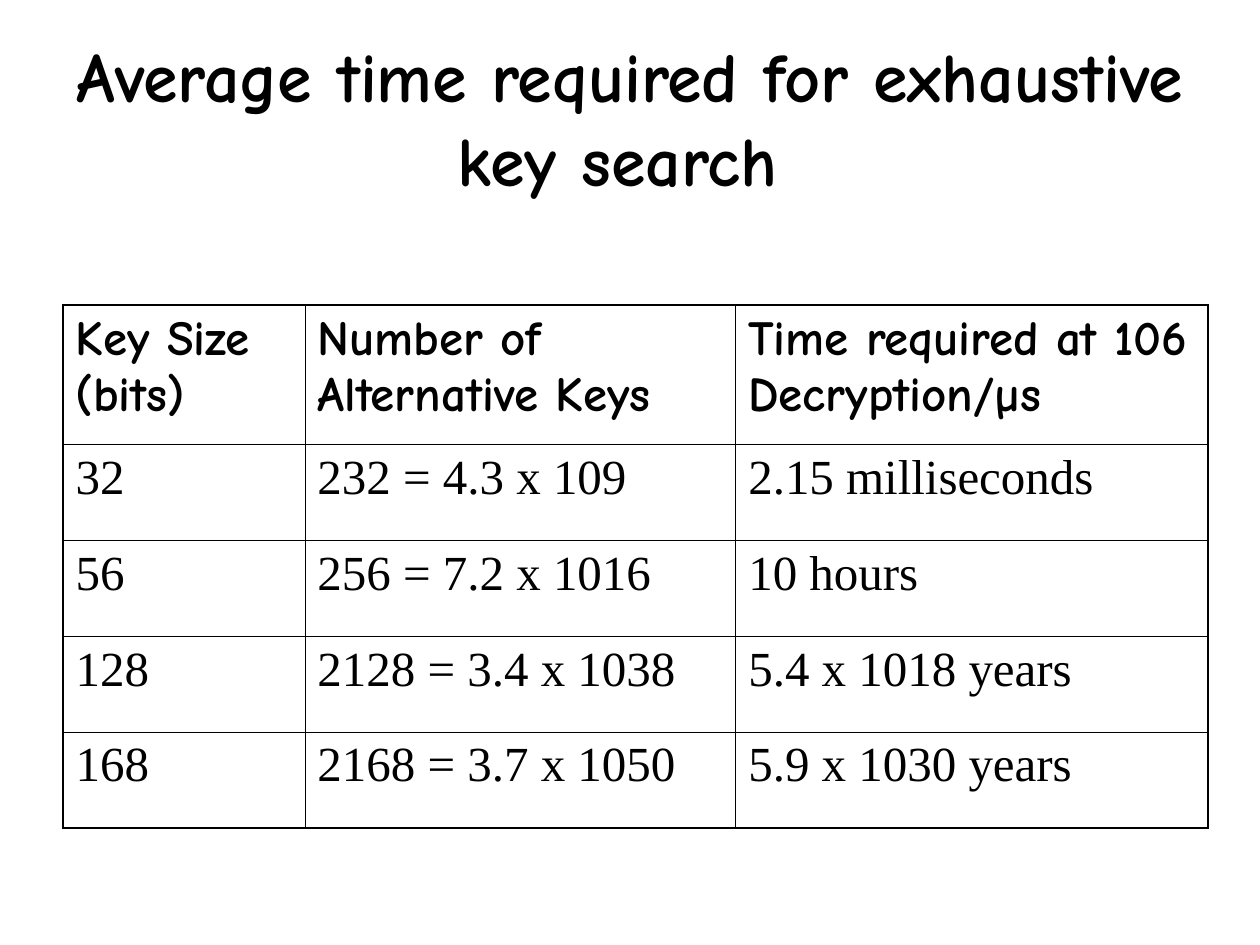
from typing import NamedTuple

from lxml.etree import SubElement
from pptx import Presentation
from pptx.dml.color import RGBColor
from pptx.enum.text import MSO_ANCHOR, PP_ALIGN
from pptx.oxml.ns import qn
from pptx.util import Inches, Pt

BLACK = RGBColor(0, 0, 0)
HEADING_FONT = "Comic Neue"
BODY_FONT = "Times New Roman"
OUTER_LINE = Pt(1.08)
INNER_LINE = Pt(0.45)
COLUMN_WIDTHS = (1.92, 3.42, 3.75)
HEADER_HEIGHT = 1.11
ROW_HEIGHT = 0.76


class KeySearch(NamedTuple):
    key_size: str
    alternatives: str
    time: str


HEADER = KeySearch(
    "Key Size (bits)",
    "Number of Alternative Keys",
    "Time required at 106 Decryption/µs",
)
SEARCHES = (
    KeySearch("32", "232 = 4.3 x 109", "2.15 milliseconds"),
    KeySearch("56", "256 = 7.2 x 1016", "10 hours"),
    KeySearch("128", "2128 = 3.4 x 1038", "5.4 x 1018 years"),
    KeySearch("168", "2168 = 3.7 x 1050", "5.9 x 1030 years"),
)


def add_run(paragraph, text: str, size: int, heading: bool) -> None:
    run = paragraph.add_run()
    run.text = text
    run.font.name = HEADING_FONT if heading else BODY_FONT
    run.font.size = Pt(size)
    run.font.bold = heading
    run.font.color.rgb = BLACK


def add_title(slide, text: str) -> None:
    shape = slide.shapes.add_textbox(Inches(0.5), Inches(0.3), Inches(9), Inches(1.25))
    frame = shape.text_frame
    frame.word_wrap = True
    frame.vertical_anchor = MSO_ANCHOR.MIDDLE
    paragraph = frame.paragraphs[0]
    paragraph.alignment = PP_ALIGN.CENTER
    add_run(paragraph, text, 40, True)


def set_border(cell, side: str, outer: bool) -> None:
    properties = cell._tc.get_or_add_tcPr()
    width = OUTER_LINE if outer else INNER_LINE
    line = SubElement(properties, qn(f"a:{side}"), w=str(int(width)))
    fill = SubElement(line, qn("a:solidFill"))
    SubElement(fill, qn("a:srgbClr"), val=str(BLACK))


def add_search_table(slide, rows: tuple[KeySearch, ...]) -> None:
    heights = [HEADER_HEIGHT] + [ROW_HEIGHT] * (len(rows) - 1)
    table = slide.shapes.add_table(
        len(rows), len(COLUMN_WIDTHS), Inches(0.5), Inches(2.42),
        Inches(sum(COLUMN_WIDTHS)), Inches(sum(heights)),
    ).table
    table.first_row = False
    table.horz_banding = False
    for column, width in zip(table.columns, COLUMN_WIDTHS):
        column.width = Inches(width)
    last_row, last_column = len(rows) - 1, len(COLUMN_WIDTHS) - 1
    for row_index, (row, height) in enumerate(zip(rows, heights)):
        table.rows[row_index].height = Inches(height)
        for column_index, text in enumerate(row):
            cell = table.cell(row_index, column_index)
            set_border(cell, "lnL", column_index == 0)
            set_border(cell, "lnR", column_index == last_column)
            set_border(cell, "lnT", row_index == 0)
            set_border(cell, "lnB", row_index == last_row)
            cell.fill.background()
            paragraph = cell.text_frame.paragraphs[0]
            paragraph.space_before = Pt(7)
            add_run(paragraph, text, 28, row_index == 0)


def main() -> None:
    presentation = Presentation()
    presentation.slide_width = Inches(10)
    presentation.slide_height = Inches(7.5)
    slide = presentation.slides.add_slide(presentation.slide_layouts[6])
    add_title(slide, "Average time required for exhaustive key search ")
    add_search_table(slide, (HEADER, *SEARCHES))
    presentation.save("out.pptx")


if __name__ == "__main__":
    main()
